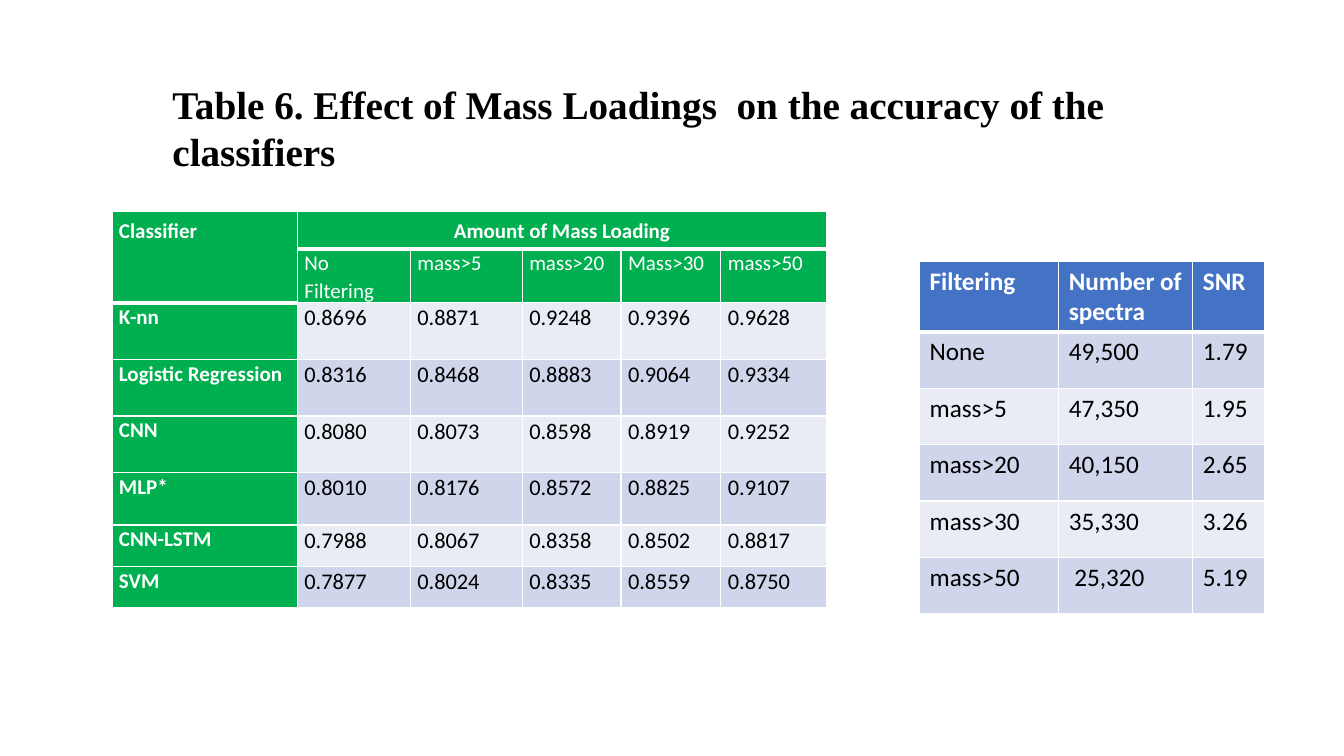
from dataclasses import dataclass

from lxml.etree import SubElement
from pptx import Presentation
from pptx.dml.color import RGBColor
from pptx.enum.text import MSO_ANCHOR, MSO_AUTO_SIZE, PP_ALIGN
from pptx.oxml.ns import qn
from pptx.slide import Slide
from pptx.table import _Cell
from pptx.util import Inches, Pt

WIDTH, HEIGHT = Inches(13.33), Inches(7.5)
WHITE, BLACK, GREEN, BLUE = "FFFFFF", "000000", "00B050", "4472C4"
BANDS = ("E9EBF5", "CFD5EA")  # even rows, odd rows


@dataclass(frozen=True)
class TableSpec:
    """Places and sizes are percentages of the slide's width and height."""
    left: float
    top: float
    cols: list[float]
    rows: list[float]
    cells: list[list[str]]
    header_rows: int
    header_cols: int
    header_fill: str
    header_size: int
    body_size: int
    side_inset: float
    align: PP_ALIGN
    heavy_below: set[tuple[int, int]]  # cells with a thick bottom edge


ACCURACY = TableSpec(
    left=8.33, top=28,
    cols=[13.8, 8.4, 8.33, 7.35, 7.43, 7.88],
    rows=[4.8, 6.8, 7.5, 7.5, 7.5, 6.93, 5.47, 5.47],
    cells=[
        ["Classifier", "Amount of Mass Loading", "", "", "", ""],
        ["", "No Filtering", "mass>5", "mass>20", "Mass>30", "mass>50"],
        ["K-nn", "0.8696", "0.8871", "0.9248", "0.9396", "0.9628"],
        ["Logistic Regression", "0.8316", "0.8468", "0.8883", "0.9064", "0.9334"],
        ["CNN", "0.8080", "0.8073", "0.8598", "0.8919", "0.9252"],
        ["MLP*", "0.8010", "0.8176", "0.8572", "0.8825", "0.9107"],
        ["CNN-LSTM", "0.7988", "0.8067", "0.8358", "0.8502", "0.8817"],
        ["SVM", "0.7877", "0.8024", "0.8335", "0.8559", "0.8750"],
    ],
    header_rows=2, header_cols=1, header_fill=GREEN,
    header_size=15, body_size=16, side_inset=0.07, align=PP_ALIGN.JUSTIFY,
    heavy_below={(0, c) for c in range(6)} | {(1, 0)},
)

SPECTRA = TableSpec(
    left=68.42, top=34.53,
    cols=[10.35, 9.98, 5.33],
    rows=[9.2] + [7.47] * 5,
    cells=[
        ["Filtering", "Number of spectra", "SNR"],
        ["None", "49,500", "1.79"],
        ["mass>5", "47,350", "1.95"],
        ["mass>20", "40,150", "2.65"],
        ["mass>30", "35,330", "3.26"],
        ["mass>50", " 25,320", "5.19"],
    ],
    header_rows=1, header_cols=0, header_fill=BLUE,
    header_size=18, body_size=18, side_inset=0.1, align=PP_ALIGN.LEFT,
    heavy_below={(0, c) for c in range(3)},
)


def color(value: str) -> RGBColor:
    return RGBColor.from_string(value)


def across(percent: float) -> int:
    return round(WIDTH * percent / 100)


def down(percent: float) -> int:
    return round(HEIGHT * percent / 100)


def set_borders(cell: _Cell, top: int, bottom: int) -> None:
    tc_pr = cell._tc.get_or_add_tcPr()
    for side, weight in (("L", 1), ("R", 1), ("T", top), ("B", bottom)):
        line = SubElement(tc_pr, qn(f"a:ln{side}"), w=str(Pt(weight)))
        fill = SubElement(line, qn("a:solidFill"))
        SubElement(fill, qn("a:srgbClr"), val=WHITE)


def format_cell(cell: _Cell, spec: TableSpec, row: int, col: int) -> None:
    is_header = row < spec.header_rows or col < spec.header_cols

    # Edges and fill
    set_borders(cell,
                top=3 if (row - 1, col) in spec.heavy_below else 1,
                bottom=3 if (row, col) in spec.heavy_below else 1)
    cell.fill.solid()
    cell.fill.fore_color.rgb = color(spec.header_fill if is_header else BANDS[row % 2])

    # Insets
    cell.margin_left = cell.margin_right = Inches(spec.side_inset)
    justified = spec.align == PP_ALIGN.JUSTIFY
    cell.margin_top = cell.margin_bottom = Inches(0 if justified and row else 0.05)

    # Text
    p = cell.text_frame.paragraphs[0]
    p.text = spec.cells[row][col]
    p.alignment = PP_ALIGN.CENTER if cell.is_merge_origin and col else spec.align
    if justified:
        p.line_spacing = 1.07
    p.font.name = "Calibri"
    p.font.size = Pt(spec.header_size if is_header else spec.body_size)
    p.font.bold = row == 0 or col < spec.header_cols
    p.font.color.rgb = color(WHITE if is_header else BLACK)


def add_data_table(s: Slide, spec: TableSpec) -> None:
    table = s.shapes.add_table(
        len(spec.rows), len(spec.cols), across(spec.left), down(spec.top),
        across(sum(spec.cols)), down(sum(spec.rows))).table
    table.horz_banding = False
    for column, width in zip(table.columns, spec.cols):
        column.width = across(width)
    for table_row, height in zip(table.rows, spec.rows):
        table_row.height = down(height)

    # A two-row header spans its first column down and its heading across
    if spec.header_rows == 2:
        table.cell(0, 0).merge(table.cell(1, 0))
        table.cell(0, 1).merge(table.cell(0, len(spec.cols) - 1))

    for row in range(len(spec.rows)):
        for col in range(len(spec.cols)):
            format_cell(table.cell(row, col), spec, row, col)


def add_title(s: Slide, text: str) -> None:
    title = s.shapes.title
    title.left, title.top = across(12.08), down(10)
    title.width, title.height = across(82.74), down(13.87)
    tf = title.text_frame
    tf.word_wrap = True
    tf.auto_size = MSO_AUTO_SIZE.SHAPE_TO_FIT_TEXT
    tf.vertical_anchor = MSO_ANCHOR.TOP
    p = tf.paragraphs[0]
    p.text = text
    p.alignment = PP_ALIGN.LEFT
    p.font.name = "Times New Roman"
    p.font.size = Pt(28)
    p.font.bold = True
    p.font.color.rgb = color(BLACK)


def main() -> None:
    prs = Presentation()
    prs.slide_width, prs.slide_height = WIDTH, HEIGHT
    s = prs.slides.add_slide(prs.slide_layouts[5])
    add_title(s, "Table 6. Effect of Mass Loadings  on the accuracy of the classifiers")
    for spec in (ACCURACY, SPECTRA):
        add_data_table(s, spec)
    prs.save("out.pptx")


if __name__ == "__main__":
    main()
